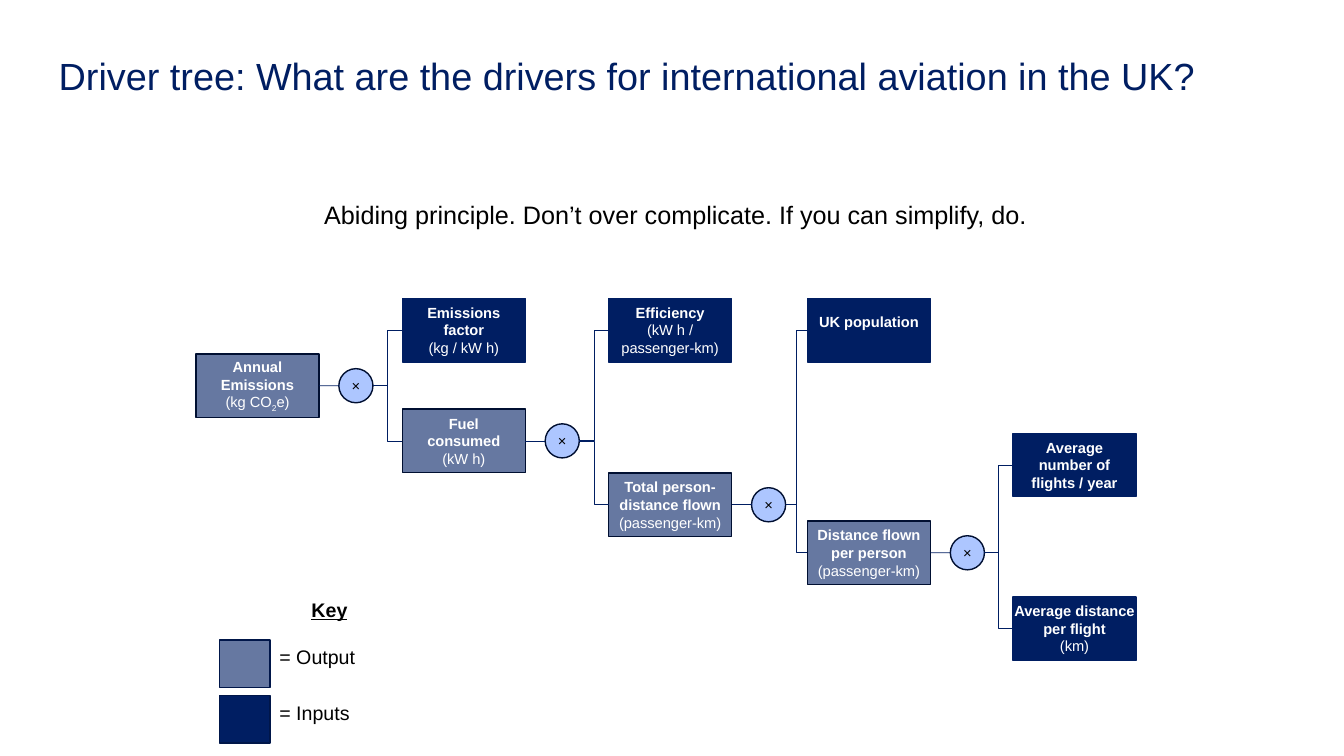
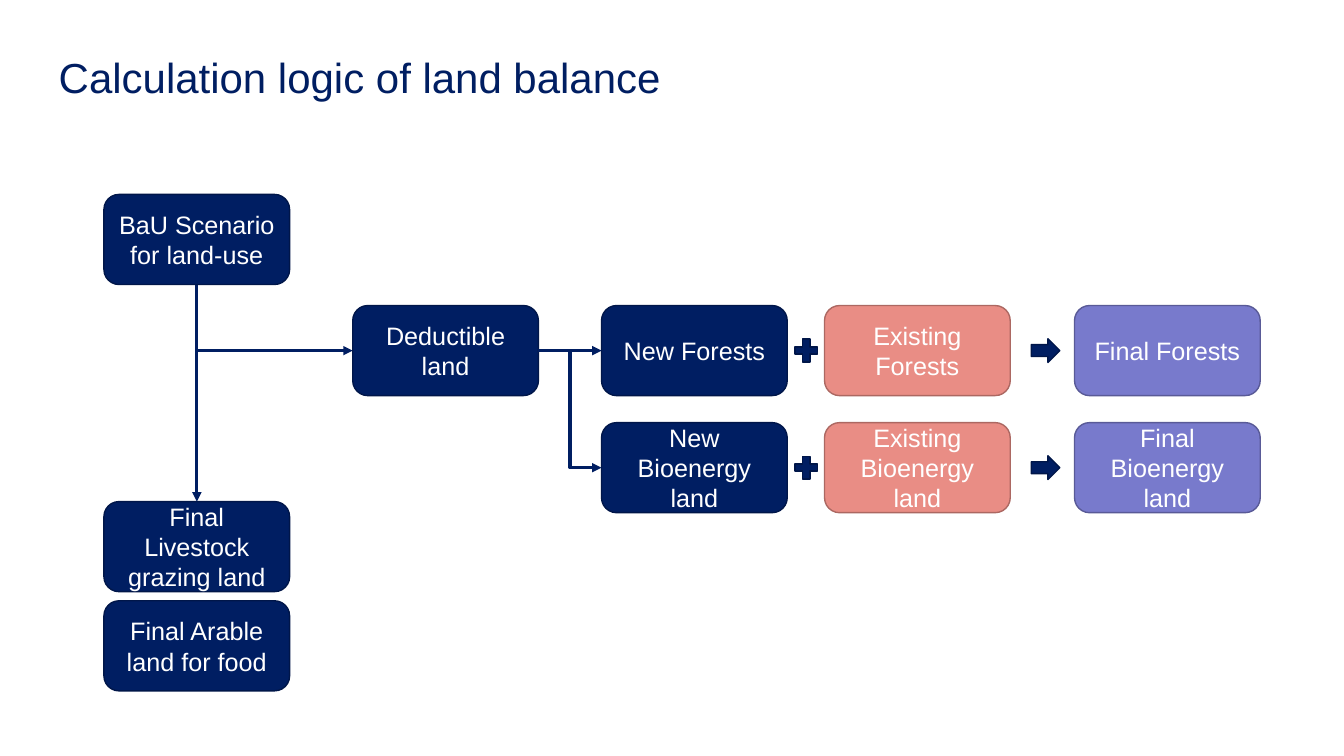
from lxml import etree
from pptx import Presentation
from pptx.dml.color import RGBColor
from pptx.enum.shapes import MSO_CONNECTOR, MSO_SHAPE
from pptx.enum.text import MSO_ANCHOR, MSO_AUTO_SIZE, PP_ALIGN
from pptx.oxml.ns import qn
from pptx.util import Cm, Pt

RECTANGLE = MSO_SHAPE.RECTANGLE
ROUNDED = MSO_SHAPE.ROUNDED_RECTANGLE
OVAL = MSO_SHAPE.OVAL
PLUS = MSO_SHAPE.MATH_PLUS
ARROW = MSO_SHAPE.RIGHT_ARROW
STRAIGHT = MSO_CONNECTOR.STRAIGHT
ELBOW = MSO_CONNECTOR.ELBOW
CENTER = PP_ALIGN.CENTER
LEFT = PP_ALIGN.LEFT
MIDDLE = MSO_ANCHOR.MIDDLE
TOP = MSO_ANCHOR.TOP

TOP_SIDE, LEFT_SIDE, BOTTOM_SIDE, RIGHT_SIDE = range(4)
FONT = "Arial"
TITLE_ONLY = 5
COLORS = {
    "navy": "001E62",
    "navy_edge": "001649",
    "dark_edge": "000F31",
    "slate": "6678A1",
    "sky": "ADC6FF",
    "coral": "E98D85",
    "coral_edge": "AC6862",
    "violet": "787ACC",
    "violet_edge": "595A97",
    "white": "FFFFFF",
    "black": "000000",
}

NODE_STYLES = {"output": ("slate", "dark_edge"), "input": ("navy", "navy")}
NODE_WIDTH, NODE_HEIGHT = 3.1, 1.6
TREE_COLUMNS = [0, 5.2, 10.4, 15.41, 20.59]
TREE_NODES = {
    "emissions": (0, 1.4, "output", "Annual Emissions", "(kg CO|2|e)"),
    "fuel": (1, 2.79, "output", "Fuel consumed", "(kW h)"),
    "factor": (1, 0, "input", "Emissions factor", "(kg / kW h)"),
    "distance": (2, 4.4, "output", "Total person-distance flown", "(passenger-km)"),
    "efficiency": (2, 0, "input", "Efficiency", "(kW h / passenger-km)"),
    "population": (3, 0, "input", "UK population", ""),
    "per_person": (3, 5.61, "output", "Distance flown per person", "(passenger-km)"),
    "flights": (4, 3.4, "input", "Average number of flights / year", ""),
    "per_flight": (4, 7.52, "input", "Average distance per flight", "(km)"),
}
TREE_PRODUCTS = {
    "emissions": ("factor", "fuel"),
    "fuel": ("efficiency", "distance"),
    "distance": ("population", "per_person"),
    "per_person": ("flights", "per_flight"),
}
SIDE_MARGINS = {"per_person": 0.2, "per_flight": 0}
BOTTOM_MARGINS = {"population": 0.56}

LAND_WIDTH, LAND_HEIGHT = 4.68, 2.27
LAND_COLUMNS = [0, 6.27, 12.54, 18.16, 24.46]
LAND_ROWS = [0, 2.8, 5.75, 7.74, 10.24]
LAND_STYLES = {
    "new": ("navy", "navy_edge"),
    "existing": ("coral", "coral_edge"),
    "final": ("violet", "violet_edge"),
}
LAND_BOXES = {
    "scenario": (0, 0, "new", "BaU Scenario for land-use"),
    "deductible": (1, 1, "new", "Deductible land"),
    "new_forests": (2, 1, "new", "New Forests"),
    "new_bioenergy": (2, 2, "new", "New Bioenergy land"),
    "existing_forests": (3, 1, "existing", "Existing Forests"),
    "existing_bioenergy": (3, 2, "existing", "Existing Bioenergy land"),
    "livestock": (0, 3, "new", "Final Livestock grazing land"),
    "arable": (0, 4, "new", "Final Arable land for food"),
    "final_forests": (4, 1, "final", "Final Forests"),
    "final_bioenergy": (4, 2, "final", "Final Bioenergy land"),
}


def color(name):
    return RGBColor.from_string(COLORS[name])


def format_paragraph(paragraph, size, ink, bold=False, align=LEFT):
    paragraph.alignment = align
    for run in paragraph.runs:
        run.font.name = FONT
        run.font.size = Pt(size)
        run.font.bold = bold
        run.font.color.rgb = color(ink)


def add_box(slide, kind, left, top, width, height, style):
    shape = slide.shapes.add_shape(kind, Cm(left), Cm(top), Cm(width), Cm(height))
    shape.shadow.inherit = False
    fill, edge = style
    shape.fill.solid()
    shape.fill.fore_color.rgb = color(fill)
    shape.line.color.rgb = color(edge)
    shape.line.width = Pt(1)
    shape.text_frame.vertical_anchor = MIDDLE
    return shape


def add_text(slide, text, left, top, width, height, size, bold=False):
    shape = slide.shapes.add_textbox(Cm(left), Cm(top), Cm(width), Cm(height))
    shape.text_frame.word_wrap = True
    shape.text_frame.text = text
    paragraph = shape.text_frame.paragraphs[0]
    format_paragraph(paragraph, size, "black", bold)
    return paragraph


def add_line(slide, kind, begin, end, width, arrow=False):
    connector = slide.shapes.add_connector(kind, 0, 0, 0, 0)
    for (shape, side), connect in ((begin, connector.begin_connect), (end, connector.end_connect)):
        if side is not None:
            connect(shape, side)
    if begin[1] is None:
        circle = begin[0]
        connector.begin_x = circle.left + circle.width
        connector.begin_y = circle.top + circle.height // 2
    if end[1] is None:
        circle = end[0]
        connector.end_x = circle.left
        connector.end_y = circle.top + circle.height // 2
    connector.line.color.rgb = color("navy")
    connector.line.width = Pt(width)
    properties = connector.element.spPr
    if arrow:
        outline = properties.find(qn("a:ln"))
        etree.SubElement(outline, qn("a:tailEnd")).set("type", "triangle")
    etree.SubElement(properties, qn("a:effectLst"))
    return connector


def turn_down_then_right(connector):
    across, down = connector.width, connector.height
    left, top = connector.left, connector.top
    connector.left = left + (across - down) // 2
    connector.top = top + (down - across) // 2
    connector.width, connector.height = down, across
    properties = connector.element.spPr
    properties.find(qn("a:prstGeom")).set("prst", "bentConnector2")
    frame = properties.find(qn("a:xfrm"))
    frame.set("rot", "16200000")
    frame.set("flipH", "1")


def add_titled_slide(presentation, text, size):
    slide = presentation.slides.add_slide(presentation.slide_layouts[TITLE_ONLY])
    title = slide.shapes.title
    title.left, title.top, title.width, title.height = Cm(1.48), Cm(1.45), Cm(30.96), Cm(1.8)
    frame = title.text_frame
    frame.text = text
    frame.word_wrap = True
    frame.auto_size = MSO_AUTO_SIZE.NONE
    frame.vertical_anchor = TOP
    frame.margin_left = frame.margin_top = frame.margin_right = frame.margin_bottom = 0
    frame.paragraphs[0].line_spacing = 0.9
    format_paragraph(frame.paragraphs[0], size, "navy")
    return slide


def write_node(frame, label, unit):
    frame.text = label
    format_paragraph(frame.paragraphs[0], 10.5, "white", True, CENTER)
    if unit:
        paragraph = frame.add_paragraph()
        for index, part in enumerate(unit.split("|")):
            run = paragraph.add_run()
            run.text = part
            if index % 2:
                run.font.size = Pt(10.5)
                run._r.get_or_add_rPr().set("baseline", "-25000")
        format_paragraph(paragraph, 10.5, "white", False, CENTER)


def add_driver_tree(slide, left, top):
    nodes = {}
    for name, (column, offset, role, label, unit) in TREE_NODES.items():
        node = add_box(slide, RECTANGLE, left + TREE_COLUMNS[column], top + offset,
                       NODE_WIDTH, NODE_HEIGHT, NODE_STYLES[role])
        frame = node.text_frame
        frame.margin_left = frame.margin_right = Cm(SIDE_MARGINS.get(name, 0.25))
        frame.margin_bottom = Cm(BOTTOM_MARGINS.get(name, 0.13))
        write_node(frame, label, unit)
        nodes[name] = node

    diameter, gap = 0.86, 0.5
    for parent, children in TREE_PRODUCTS.items():
        column, offset = TREE_NODES[parent][:2]
        circle = add_box(slide, OVAL, left + TREE_COLUMNS[column] + NODE_WIDTH + gap,
                         top + offset + (NODE_HEIGHT - diameter) / 2,
                         diameter, diameter, ("sky", "dark_edge"))
        frame = circle.text_frame
        frame.margin_left = frame.margin_top = frame.margin_right = frame.margin_bottom = 0
        frame.text = "×"
        format_paragraph(frame.paragraphs[0], 10.5, "black", False, CENTER)
        add_line(slide, STRAIGHT, (nodes[parent], RIGHT_SIDE), (circle, None), 0.5)
        for child in children:
            add_line(slide, ELBOW, (circle, None), (nodes[child], LEFT_SIDE), 0.5)


def add_key(slide, left, top):
    heading = add_text(slide, "Key", left + 2.06, top, 1.9, 0.86, 14, True)
    heading.runs[0].font.underline = True
    for index, (label, fill) in enumerate((("= Output", "slate"), ("= Inputs", "navy"))):
        row = top + 1.19 + index * 1.4
        add_box(slide, RECTANGLE, left, row, 1.27, 1.19, (fill, "navy_edge"))
        add_text(slide, label, left + 1.25, row, 3, 0.86, 14)


def add_land_flow(slide, left, top):
    boxes = {}
    for name, (column, row, role, label) in LAND_BOXES.items():
        box = add_box(slide, ROUNDED, left + LAND_COLUMNS[column], top + LAND_ROWS[row],
                      LAND_WIDTH, LAND_HEIGHT, LAND_STYLES[role])
        box.text_frame.text = label
        format_paragraph(box.text_frame.paragraphs[0], 18, "white", False, CENTER)
        boxes[name] = box

    for row in (1, 2):
        middle = top + LAND_ROWS[row] + LAND_HEIGHT / 2
        for kind, column, gap, width, height in ((PLUS, 2, 0.1, 0.76, 0.78), (ARROW, 3, 0.53, 0.72, 0.6)):
            add_box(slide, kind, left + LAND_COLUMNS[column] + LAND_WIDTH + gap,
                    middle - height / 2, width, height, LAND_STYLES["new"])

    scenario, deductible = boxes["scenario"], boxes["deductible"]
    add_line(slide, STRAIGHT, (scenario, BOTTOM_SIDE), (boxes["livestock"], TOP_SIDE), 2.25, True)
    branch = add_line(slide, ELBOW, (scenario, BOTTOM_SIDE), (deductible, LEFT_SIDE), 2.25, True)
    turn_down_then_right(branch)
    for kind, target in ((STRAIGHT, "new_forests"), (ELBOW, "new_bioenergy")):
        add_line(slide, kind, (deductible, RIGHT_SIDE), (boxes[target], LEFT_SIDE), 2.25, True)


def main():
    presentation = Presentation()
    presentation.slide_width, presentation.slide_height = Cm(33.87), Cm(19.05)

    drivers = add_titled_slide(
        presentation, "Driver tree: What are the drivers for international aviation in the UK?", 27)
    add_text(drivers, "Abiding principle. Don’t over complicate. If you can simplify, do.",
             7.92, 4.9, 23.6, 1.02, 18)
    add_driver_tree(drivers, 4.94, 7.52)
    add_key(drivers, 5.54, 14.94)

    land = add_titled_slide(presentation, "Calculation logic of land balance", 30)
    add_land_flow(land, 2.62, 4.9)

    presentation.save("out.pptx")


if __name__ == "__main__":
    main()
